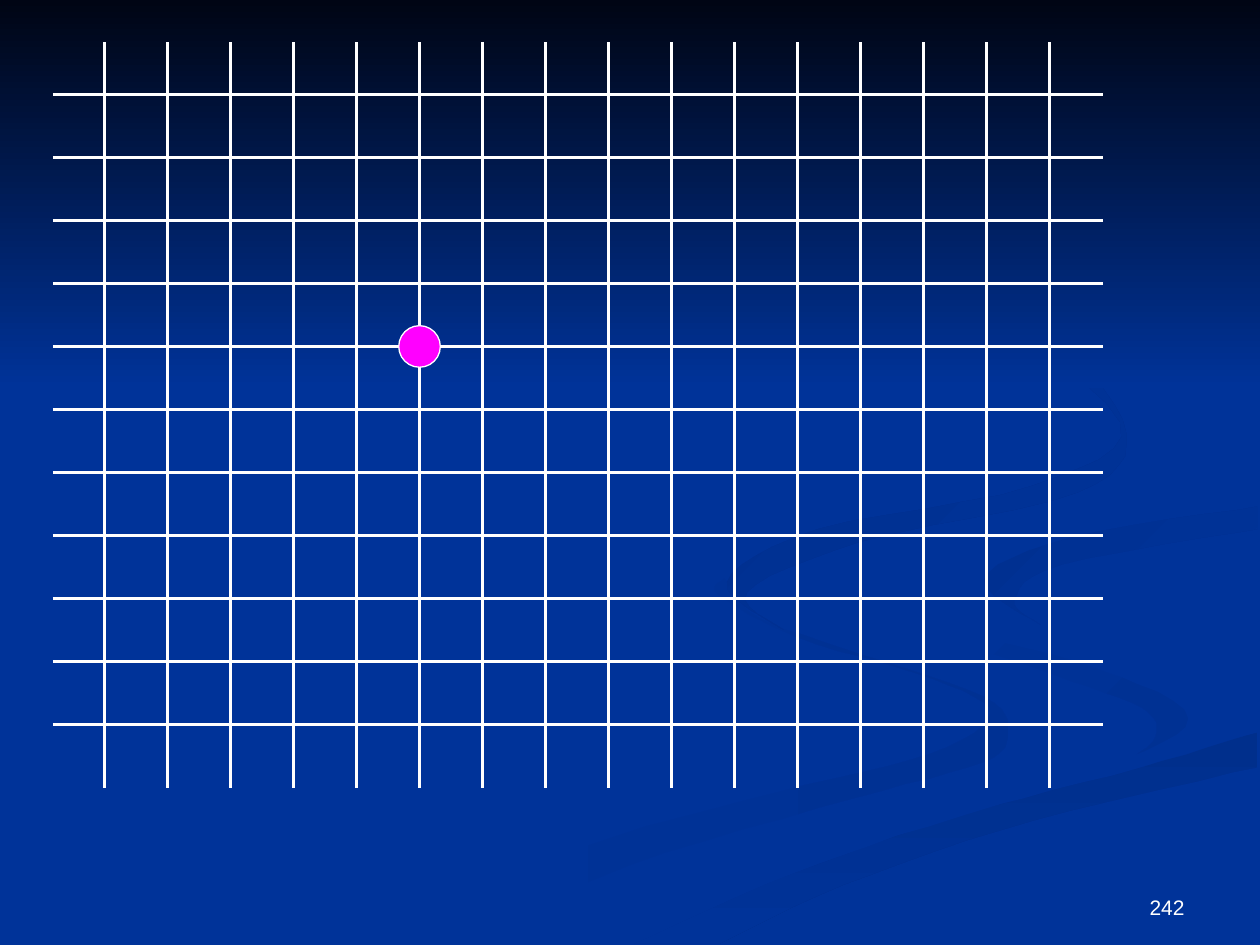
from lxml import etree
from pptx import Presentation
from pptx.dml.color import RGBColor
from pptx.enum.shapes import MSO_CONNECTOR, MSO_SHAPE
from pptx.enum.text import MSO_ANCHOR, PP_ALIGN
from pptx.oxml.ns import qn
from pptx.util import Inches, Pt

STRAIGHT = MSO_CONNECTOR.STRAIGHT
OVAL, RECTANGLE = MSO_SHAPE.OVAL, MSO_SHAPE.RECTANGLE
BOTTOM, RIGHT = MSO_ANCHOR.BOTTOM, PP_ALIGN.RIGHT

BLUE, NIGHT, WHITE, MAGENTA = "003399", "000514", "FFFFFF", "FF00FF"
GRID_STEP = 0.5
CURVE_STEPS = 6

# Ribbons: start colour, end colour, angle, then edges in hundredths of an inch
RIBBONS = [
    (BLUE, "003193", 0, [
        [(300, 749), (458, 674), (616, 629), (739, 598), (786, 566),
         (741, 539), (631, 505), (570, 472), (575, 459)],
        [(575, 459), (602, 490), (682, 519), (781, 553), (800, 581),
         (780, 605), (676, 634), (499, 687), (361, 749)]]),
    (BLUE, "003193", 45, [
        [(724, 464), (755, 505), (838, 536), (907, 562), (917, 585), (894, 605)],
        [(894, 605), (937, 586), (935, 557), (850, 524), (758, 498), (724, 464)]]),
    ("002F8C", BLUE, 90, [
        [(503, 749), (630, 693), (764, 647), (903, 610), (998, 581)],
        [(998, 609), (821, 651), (670, 702), (571, 749)]]),
    (BLUE, BLUE, 0, [
        [(477, 749), (663, 668), (869, 611), (943, 570), (871, 530),
         (759, 498), (725, 464), (770, 427), (920, 401), (999, 387)],
        [(999, 402), (850, 427), (781, 463), (832, 498), (999, 538)],
        [(999, 581), (765, 647), (630, 693), (503, 749)]]),
    ("003091", BLUE, 45, [
        [(998, 402), (849, 427), (781, 460), (826, 496)],
        [(826, 496), (805, 476), (843, 448), (998, 420)]]),
    ("002F8E", BLUE, 45, [
        [(762, 233), (889, 335), (818, 386), (649, 420), (577, 462), (622, 500)],
        [(622, 500), (593, 470), (683, 430), (855, 391), (894, 344),
         (843, 275), (762, 233)]]),
]


def rgb(hex_color):
    return RGBColor.from_string(hex_color)


def smooth_edge(knots):
    """Return points on a Catmull-Rom curve through the knots."""
    padded = [knots[0], *knots, knots[-1]]
    points = [knots[0]]
    for a, b, c, d in zip(padded, padded[1:], padded[2:], padded[3:]):
        for step in range(1, CURVE_STEPS + 1):
            t = step / CURVE_STEPS
            points.append(tuple(
                q + t / 2 * (r - p + t * (2 * p - 5 * q + 4 * r - s
                                          + t * (3 * (q - r) + s - p)))
                for p, q, r, s in zip(a, b, c, d)))
    return points


def fill_gradient(shape, start, end, angle):
    """Fill without outline; the angle runs clockwise."""
    shape.shadow.inherit = False
    shape.line.fill.background()
    shape.fill.gradient()
    shape.fill.gradient_angle = -angle % 360
    for stop, color in zip(shape.fill.gradient_stops, (start, end)):
        stop.color.rgb = rgb(color)


def add_backdrop(slide, left, top, width, height):
    background = slide.background.fill
    background.solid()
    background.fore_color.rgb = rgb(BLUE)

    # Flowing ribbons
    ribbons = slide.shapes.add_group_shape().shapes
    for start, end, angle, edges in RIBBONS:
        points = [point for edge in edges for point in smooth_edge(edge)]
        builder = ribbons.build_freeform(*points[0], scale=Inches(0.01))
        builder.add_line_segments(points[1:], close=True)
        ribbon = builder.convert_to_shape(Inches(left), Inches(top))
        fill_gradient(ribbon, start, end, angle)

    # Dark fade along the top
    fade = slide.shapes.add_shape(RECTANGLE, Inches(left), Inches(top),
                                  Inches(width), Inches(height))
    fill_gradient(fade, NIGHT, BLUE, 90)


def add_grid_line(shapes, x1, y1, x2, y2):
    line = shapes.add_connector(STRAIGHT, Inches(x1), Inches(y1),
                                Inches(x2), Inches(y2))
    line.line.color.rgb = rgb(WHITE)
    line.line.width = Pt(2)
    etree.SubElement(line._element.spPr, qn("a:effectLst"))


def add_grid(slide, left, top, width, height, columns=16, rows=11):
    lines = slide.shapes.add_group_shape().shapes
    first_x, first_y = left + 0.41, top + 0.42
    for column in range(columns):
        x = first_x + column * GRID_STEP
        add_grid_line(lines, x, top + height, x, top)
    for row in range(rows):
        y = first_y + row * GRID_STEP
        add_grid_line(lines, left, y, left + width, y)

    # Dot on the sixth column and fifth row
    size = 0.33
    dot = slide.shapes.add_shape(
        OVAL, Inches(first_x + 5 * GRID_STEP - size / 2),
        Inches(first_y + 4 * GRID_STEP - size / 2), Inches(size), Inches(size))
    dot.shadow.inherit = False
    dot.fill.solid()
    dot.fill.fore_color.rgb = rgb(MAGENTA)
    dot.line.color.rgb = rgb(WHITE)
    dot.line.width = Pt(0.75)


def add_page_number(slide, left, top, width, height):
    box = slide.shapes.add_textbox(Inches(left), Inches(top),
                                   Inches(width), Inches(height))
    text_frame = box.text_frame
    text_frame.word_wrap = True
    text_frame.vertical_anchor = BOTTOM
    text_frame.text = "242"
    paragraph = text_frame.paragraphs[0]
    paragraph.alignment = RIGHT
    font = paragraph.runs[0].font
    font.name = "Arial"
    font.size = Pt(12)
    font.color.rgb = rgb(WHITE)


def main():
    presentation = Presentation()
    presentation.slide_width = Inches(10)
    presentation.slide_height = Inches(7.5)
    slide = presentation.slides.add_slide(presentation.slide_layouts[6])
    add_backdrop(slide, 0, 0, 10, 3.08)
    add_page_number(slide, 7.17, 6.83, 2.33, 0.52)
    add_grid(slide, 0.42, 0.33, 8.33, 5.92)
    presentation.save("out.pptx")


if __name__ == "__main__":
    main()
